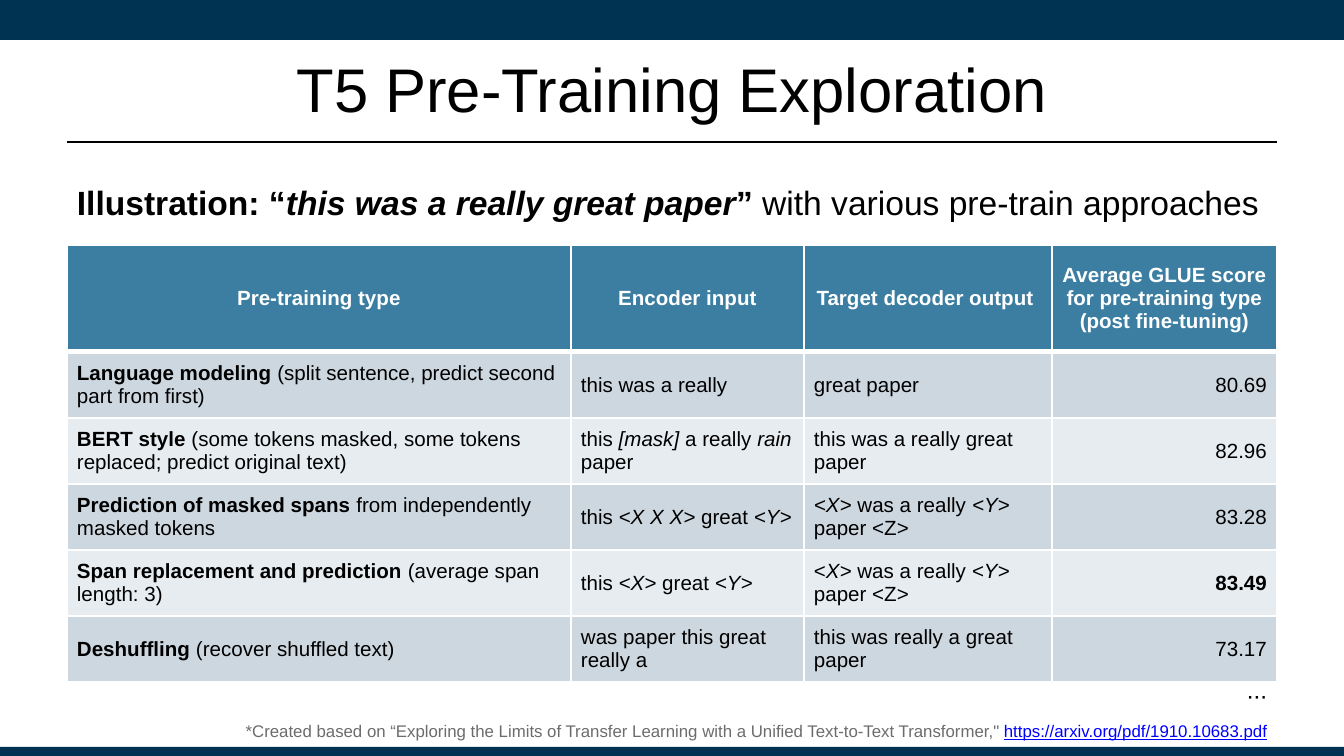
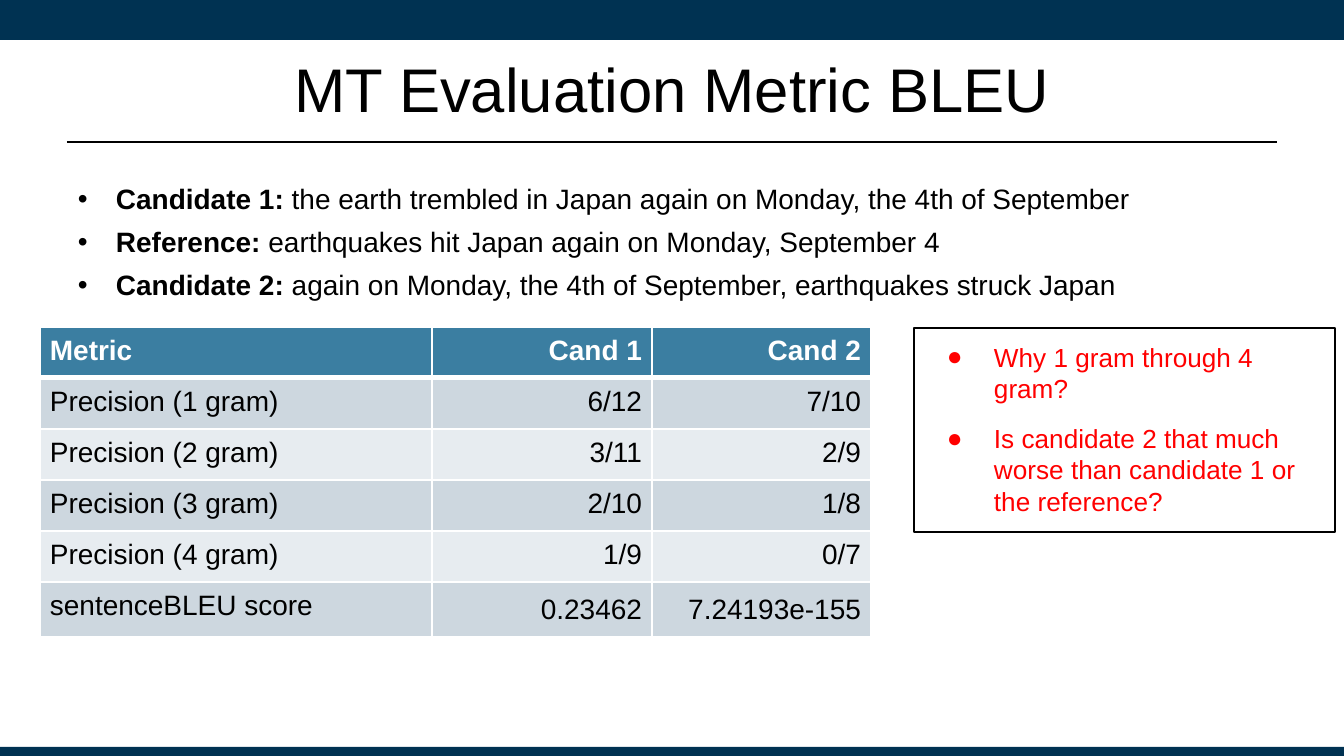
from dataclasses import dataclass
from typing import NamedTuple

from lxml import etree
from pptx import Presentation
from pptx import util as u
from pptx.dml.color import RGBColor
from pptx.enum import shapes, text
from pptx.oxml import ns

PX = 914400 / 134.4
FONT = "Arial"
NAVY, BLUE, BLACK, WHITE = "003252", "3B7EA1", "000000", "FFFFFF"
GREY, LINK, RED = "6C6C6C", "0000FF", "FF0000"
ROW_FILLS = ("CDD7DF", "E7ECF0")
LEFT, CENTER, RIGHT = text.PP_ALIGN.LEFT, text.PP_ALIGN.CENTER, text.PP_ALIGN.RIGHT
TOP, MIDDLE, BOTTOM = text.MSO_ANCHOR.TOP, text.MSO_ANCHOR.MIDDLE, text.MSO_ANCHOR.BOTTOM


class Span(NamedTuple):
    words: str
    bold: bool = False
    italic: bool = False
    color: str = ""
    underline: bool = False


class Box(NamedTuple):
    left: int
    top: int
    width: int
    height: int


class Bullet(NamedTuple):
    mark: str
    indent: int
    hang: int
    color: str


@dataclass
class Para:
    spans: tuple[Span, ...]
    align: text.PP_ALIGN = LEFT
    before: float = 0
    after: float = 0
    line: float = 1.0
    bullet: Bullet | None = None


@dataclass
class Style:
    size: int
    color: str = BLACK
    anchor: text.MSO_ANCHOR = TOP
    inset_x: int = 10
    inset_y: int = 5


@dataclass
class Grid:
    left: int
    top: int
    columns: list[int]
    heights: list[int]
    rows: list[list[Para]]
    size: int
    anchor: text.MSO_ANCHOR


def px(length: float) -> u.Emu:
    return u.Emu(round(length * PX))


def rgb(color: str) -> RGBColor:
    return RGBColor.from_string(color)


def bold(words: str) -> Span:
    return Span(words, bold=True)


def italic(words: str) -> Span:
    return Span(words, italic=True)


def para(*parts: str | Span, **options) -> Para:
    spans = tuple(Span(part) if isinstance(part, str) else part for part in parts)
    return Para(spans, **options)


# Text
def add_bullet(paragraph, bullet: Bullet) -> None:
    props = paragraph._p.get_or_add_pPr()
    props.set("marL", str(px(bullet.indent)))
    props.set("indent", str(-px(bullet.hang)))
    color = etree.SubElement(props, ns.qn("a:buClr"))
    etree.SubElement(color, ns.qn("a:srgbClr")).set("val", bullet.color)
    etree.SubElement(props, ns.qn("a:buFont")).set("typeface", FONT)
    etree.SubElement(props, ns.qn("a:buChar")).set("char", bullet.mark)


def write_para(paragraph, item: Para, style: Style) -> None:
    if item.bullet:
        add_bullet(paragraph, item.bullet)
    paragraph.alignment = item.align
    if item.before:
        paragraph.space_before = u.Pt(item.before)
    if item.after:
        paragraph.space_after = u.Pt(item.after)
    if item.line != 1:
        paragraph.line_spacing = item.line
    for span in item.spans:
        run = paragraph.add_run()
        run.text = span.words
        run.font.name, run.font.size = FONT, u.Pt(style.size)
        run.font.bold, run.font.italic = span.bold, span.italic
        run.font.underline = span.underline
        run.font.color.rgb = rgb(span.color or style.color)


def set_insets(holder, style: Style) -> None:
    holder.margin_left = holder.margin_right = px(style.inset_x)
    holder.margin_top = holder.margin_bottom = px(style.inset_y)
    holder.vertical_anchor = style.anchor


def write_frame(frame, items: list[Para], style: Style) -> None:
    frame.word_wrap = True
    set_insets(frame, style)
    for index, item in enumerate(items):
        paragraph = frame.add_paragraph() if index else frame.paragraphs[0]
        write_para(paragraph, item, style)


def add_text(page, box: Box, items: list[Para], style: Style):
    shape = page.shapes.add_textbox(*map(px, box))
    write_frame(shape.text_frame, items, style)
    return shape


# Shapes
def add_rectangle(page, box: Box, fill: str, line: str = ""):
    shape = page.shapes.add_shape(shapes.MSO_SHAPE.RECTANGLE, *map(px, box))
    shape.shadow.inherit = False
    shape.fill.solid()
    shape.fill.fore_color.rgb = rgb(fill)
    if line:
        shape.line.color.rgb = rgb(line)
        shape.line.width = u.Pt(0.75)
    else:
        shape.line.fill.background()
    return shape


def add_rule(page, left: int, right: int, y: int) -> None:
    rule = page.shapes.add_connector(
        shapes.MSO_CONNECTOR.STRAIGHT, px(left), px(y), px(right), px(y))
    rule.line.color.rgb = rgb(BLACK)
    rule.line.width = u.Pt(1.25)
    etree.SubElement(rule._element.spPr, ns.qn("a:effectLst"))


# Tables
def set_borders(cell, top: int, bottom: int) -> None:
    props = cell._tc.get_or_add_tcPr()
    widths = {"a:lnL": 1, "a:lnR": 1, "a:lnT": top, "a:lnB": bottom}
    for index, (tag, width) in enumerate(widths.items()):
        line = etree.Element(ns.qn(tag), w=str(u.Pt(width)))
        fill = etree.SubElement(line, ns.qn("a:solidFill"))
        etree.SubElement(fill, ns.qn("a:srgbClr")).set("val", WHITE)
        props.insert(index, line)


def add_grid(page, grid: Grid) -> None:
    box = Box(grid.left, grid.top, sum(grid.columns), sum(grid.heights))
    table = page.shapes.add_table(
        len(grid.rows), len(grid.columns), *map(px, box)).table
    table.horz_banding = False
    for column, width in zip(table.columns, grid.columns):
        column.width = px(width)
    for r, (items, height) in enumerate(zip(grid.rows, grid.heights)):
        table.rows[r].height = px(height)
        # The border adds to the row height, so the vertical inset is smaller
        style = Style(grid.size, BLACK if r else WHITE, grid.anchor, 10, 8)
        for c, item in enumerate(items):
            cell = table.cell(r, c)
            cell.fill.solid()
            cell.fill.fore_color.rgb = rgb(ROW_FILLS[(r - 1) % 2] if r else BLUE)
            set_borders(cell, 3 if r == 1 else 1, 1 if r else 3)
            set_insets(cell, style)
            write_para(cell.text_frame.paragraphs[0], item, style)


# Shared page frame
def add_page(deck, title: str, body: list[Para], body_size: int):
    page = deck.slides.add_slide(deck.slide_layouts[6])
    add_rectangle(page, Box(0, 0, 1344, 40), NAVY)
    add_rectangle(page, Box(0, 747, 1344, 9), NAVY)
    add_rule(page, 67, 1277, 142)
    add_text(page, Box(67, 25, 1210, 126), [para(title, align=CENTER)],
             Style(33, anchor=MIDDLE))
    add_text(page, Box(67, 177, 1210, 499), body, Style(body_size))
    return page


def build_pretraining(deck) -> None:
    page = add_page(deck, "T5 Pre-Training Exploration", [para(
        bold("Illustration: “"),
        Span("this was a really great paper", bold=True, italic=True),
        bold("” "), "with various pre-train approaches")], 18)
    add_text(page, Box(214, 715, 1063, 31), [para(
        "*Created based on “Exploring the Limits of Transfer Learning with a "
        "Unified Text-to-Text Transformer,\" ",
        Span("https://arxiv.org/pdf/1910.10683.pdf", color=LINK, underline=True),
        align=RIGHT)], Style(9, GREY, BOTTOM))

    headings = ["Pre-training type", "Encoder input", "Target decoder output ",
                "Average GLUE score for pre-training type (post fine-tuning)"]
    span_target = para(italic("<X> "), "was a really ", italic("<Y>"), " paper <Z>")
    rows = [
        [para(bold(heading), align=CENTER) for heading in headings],
        [para(bold("Language modeling "),
              "(split sentence, predict second part from first)"),
         para("this was a really"), para("great paper"),
         para("80.69", align=RIGHT)],
        [para(bold("BERT style "),
              "(some tokens masked, some tokens replaced; predict original text)"),
         para("this ", italic("[mask]"), " a really ", italic("rain"), " paper"),
         para("this was a really great paper"), para("82.96", align=RIGHT)],
        [para(bold("Prediction of masked spans"),
              " from independently masked tokens"),
         para("this ", italic("<X X X>"), " great ", italic("<Y>")),
         span_target, para("83.28", align=RIGHT)],
        [para(bold("Span replacement and prediction "), "(average span length: 3)"),
         para("this ", italic("<X>"), " great ", italic("<Y>")),
         para("<", italic("X>"), " was a really ", italic("<Y> "), "paper <Z>"),
         para(bold("83.49"), align=RIGHT)],
        [para(bold("Deshuffling "), "(recover shuffled text)"),
         para("was paper this great really a"),
         para("this was really a great paper"), para("73.17", align=RIGHT)],
    ]
    add_grid(page, Grid(67, 245, [504, 233, 248, 225], [107] + [66] * 5,
                        rows, 11, MIDDLE))
    dots = add_text(page, Box(1224, 681, 53, 50), [para("...")],
                    Style(13, inset_y=10))
    dots.rotation = 180


def build_bleu(deck) -> None:
    dot = Bullet("•", 39, 38, BLACK)
    sentences = {
        "Candidate 1:": " the earth trembled in Japan again on Monday, the 4th of September",
        "Reference:": " earthquakes hit Japan again on Monday, September 4",
        "Candidate 2:": " again on Monday, the 4th of September, earthquakes struck Japan",
    }
    body = [para(bold(label), sentence, bullet=dot, before=5 if index else 0)
            for index, (label, sentence) in enumerate(sentences.items())]
    page = add_page(deck, "MT Evaluation Metric BLEU", body, 15)

    # Scores
    precisions = [("6/12", "7/10"), ("3/11", "2/9"), ("2/10", "1/8"), ("1/9", "0/7")]
    rows = [[para(bold("Metric")), para(bold("Cand 1"), align=RIGHT),
             para(bold("Cand 2"), align=RIGHT)]]
    for n, scores in enumerate(precisions, 1):
        rows.append([para(f"Precision ({n} gram)"),
                     *(para(score, align=RIGHT) for score in scores)])
    rows.append([para("sentenceBLEU score"),
                 *(para(score, align=RIGHT, line=1.15)
                   for score in ("0.23462", "7.24193e-155"))])
    add_grid(page, Grid(40, 327, [392, 220, 219], [51] * 5 + [55],
                        rows, 15, TOP))

    # Questions
    mark = Bullet("●", 67, 47, RED)
    panel = add_rectangle(page, Box(914, 328, 421, 204), WHITE, BLACK)
    write_frame(panel.text_frame, [
        para("Why 1 gram through 4 gram?", bullet=mark),
        para("Is candidate 2 that much worse than candidate 1 or the reference?",
             bullet=mark, before=10, after=10)], Style(14, RED, TOP, 13, 13))
    panel.text_frame.auto_size = text.MSO_AUTO_SIZE.SHAPE_TO_FIT_TEXT


def main() -> None:
    deck = Presentation()
    deck.slide_width, deck.slide_height = px(1344), px(756)
    build_pretraining(deck)
    build_bleu(deck)
    deck.save("out.pptx")


if __name__ == "__main__":
    main()
